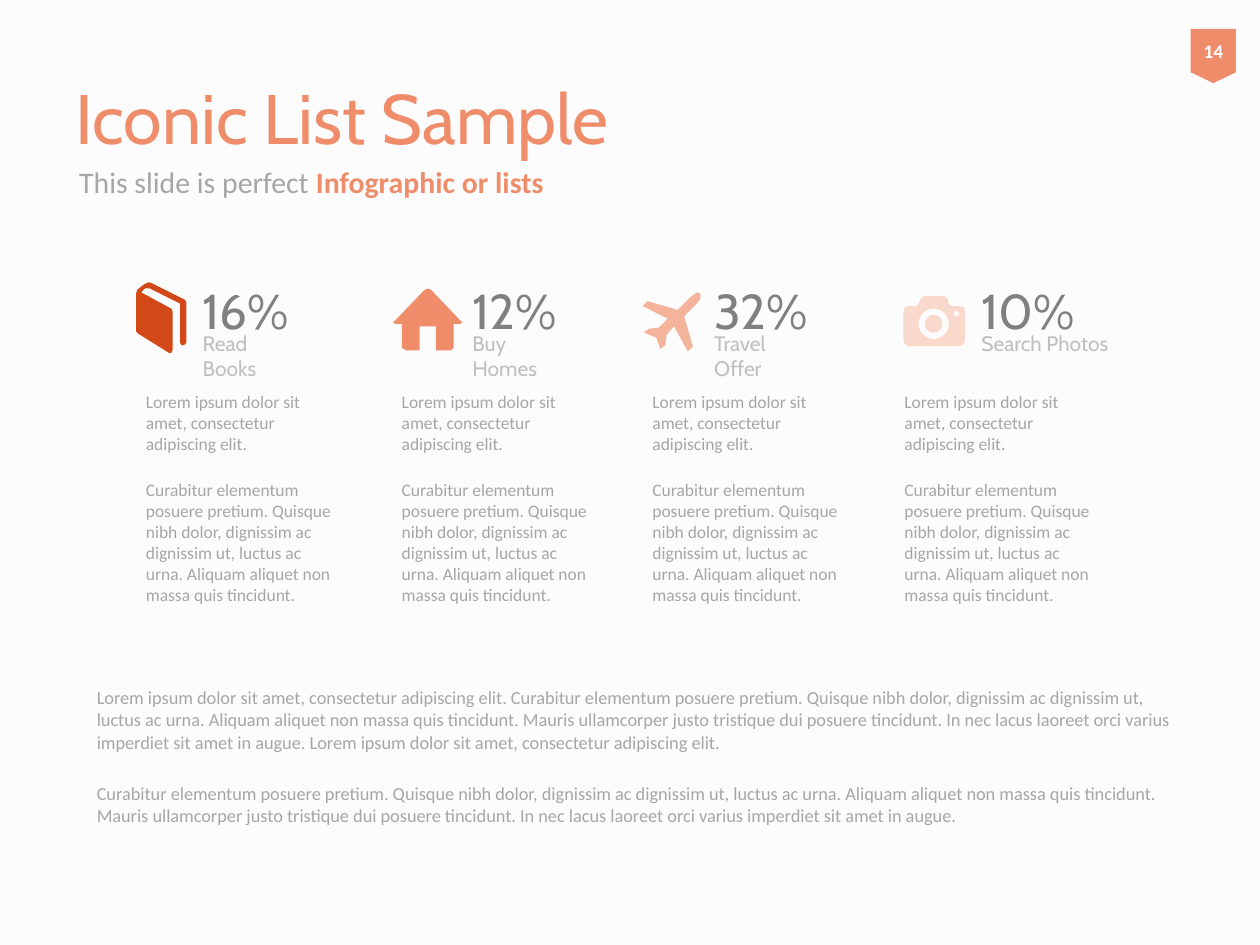
"""Build the "Iconic List Sample" slide: four icon columns above a closing text."""
import math

import pptx
import pptx.dml.color
import pptx.enum.shapes
import pptx.enum.text
import pptx.util

Inches = pptx.util.Inches
COLORS = {
    "background": "FCFCFC", "accent": "EF8C6A", "rust": "D34817", "salmon": "F4B39B",
    "blush": "FAD9CD", "figure": "808080", "body": "A6A6A6", "label": "BFBFBF", "white": "FFFFFF",
}
OPENING = "Lorem ipsum dolor sit amet, consectetur adipiscing elit."
DETAIL = ("Curabitur elementum posuere pretium. Quisque nibh dolor, dignissim ac dignissim ut, "
          "luctus ac urna. Aliquam aliquet non massa quis tincidunt.")
CLOSING = (DETAIL + " Mauris ullamcorper justo tristique dui posuere tincidunt. "
           "In nec lacus laoreet orci varius imperdiet sit amet in augue.")


def write(shape, text, *, size, color, font="Calibri", bold=False, bold_tail="", gap=0,
          align=pptx.enum.text.PP_ALIGN.LEFT, anchor=pptx.enum.text.MSO_ANCHOR.TOP):
    frame = shape.text_frame
    frame.word_wrap = True
    frame.auto_size = pptx.enum.text.MSO_AUTO_SIZE.NONE
    frame.vertical_anchor = anchor
    frame.text = text
    for index, paragraph in enumerate(frame.paragraphs):
        paragraph.alignment = align
        paragraph.space_before = pptx.util.Pt(gap if index else 0)
        paragraph.font.name = font
        paragraph.font.size = pptx.util.Pt(size)
        paragraph.font.bold = bold
        paragraph.font.color.rgb = pptx.dml.color.RGBColor.from_string(COLORS[color])
    if bold_tail:
        run = frame.paragraphs[-1].add_run()
        run.text = bold_tail
        run.font.bold = True
        run.font.color.rgb = pptx.dml.color.RGBColor.from_string(COLORS["accent"])


def circle(center_x, center_y, radius):
    angles = [math.tau * step / 36 for step in range(36)]
    return [(center_x + radius * math.cos(a), center_y + radius * math.sin(a)) for a in angles]


BOOK = [[
    (1.47, 2.38), (1.21, 2.25), (1.18, 2.24), (1.14, 2.26), (1.09, 2.3), (1.08, 2.33),
    (1.08, 2.63), (1.1, 2.65), (1.34, 2.8), (1.36, 2.8), (1.37, 2.78), (1.37, 2.47),
    (1.36, 2.45), (1.12, 2.32), (1.15, 2.29), (1.19, 2.29), (1.43, 2.41), (1.43, 2.72),
    (1.44, 2.74), (1.46, 2.74), (1.48, 2.72), (1.48, 2.4),
]]
HOUSE = [[
    (3.66, 2.55), (3.42, 2.3), (3.4, 2.29), (3.37, 2.3), (3.13, 2.55), (3.12, 2.56),
    (3.14, 2.57), (3.19, 2.57), (3.19, 2.76), (3.22, 2.78), (3.33, 2.78), (3.33, 2.59),
    (3.46, 2.59), (3.46, 2.78), (3.58, 2.78), (3.6, 2.76), (3.6, 2.57), (3.65, 2.57), (3.67, 2.56),
]]
PLANE = [[
    (5.46, 2.79), (5.5, 2.75), (5.43, 2.51), (5.53, 2.41), (5.56, 2.37), (5.56, 2.33),
    (5.53, 2.32), (5.48, 2.36), (5.38, 2.46), (5.14, 2.39), (5.1, 2.43), (5.3, 2.53),
    (5.23, 2.6), (5.15, 2.61), (5.11, 2.64), (5.21, 2.68), (5.24, 2.77), (5.28, 2.74),
    (5.29, 2.66), (5.35, 2.59),
]]
CAMERA = [
    [
        (7.61, 2.43), (7.55, 2.43), (7.53, 2.41), (7.52, 2.37), (7.5, 2.35), (7.33, 2.35),
        (7.31, 2.37), (7.29, 2.41), (7.27, 2.43), (7.21, 2.43), (7.18, 2.44), (7.17, 2.48),
        (7.17, 2.7), (7.18, 2.73), (7.21, 2.75), (7.61, 2.75), (7.65, 2.73), (7.66, 2.7),
        (7.66, 2.48), (7.65, 2.44),
    ],
    circle(7.41, 2.57, 0.12)[::-1],
    circle(7.41, 2.57, 0.07),
    circle(7.59, 2.49, 0.02)[::-1],
]
COLUMNS = [
    (1.06, 1.51, 1.01, "16%", "Read Books", "rust", BOOK),
    (3.09, 3.65, 1.01, "12%", "Buy Homes", "accent", HOUSE),
    (5.08, 5.57, 1.01, "32%", "Travel Offer", "salmon", PLANE),
    (7.08, 7.69, 1.22, "10%", "Search Photos", "blush", CAMERA),
]

presentation = pptx.Presentation()
presentation.slide_width, presentation.slide_height = Inches(10), Inches(7.5)
slide = presentation.slides.add_slide(presentation.slide_layouts[5])
slide.background.fill.solid()
slide.background.fill.fore_color.rgb = pptx.dml.color.RGBColor.from_string(COLORS["background"])
middle = pptx.enum.text.MSO_ANCHOR.MIDDLE

title = slide.shapes.title
title.left, title.top, title.width, title.height = map(Inches, (0.5, 0.3, 9, 1.25))
write(title, "Iconic List Sample", size=40, color="accent", font="Cabin", anchor=middle)

subtitle = slide.shapes.add_textbox(*map(Inches, (0.53, 1.18, 9, 0.53)))
write(subtitle, "This slide is perfect ", size=17, color="body",
      bold_tail="Infographic or lists", anchor=middle)

for body_left, heading_left, label_width, figure, label, color, contours in COLUMNS:
    points = [[(Inches(x), Inches(y)) for x, y in contour] for contour in contours]
    builder = slide.shapes.build_freeform(*points[0][0])
    builder.add_line_segments(points[0][1:], close=True)
    for contour in points[1:]:
        builder.move_to(*contour[0])
        builder.add_line_segments(contour[1:], close=True)
    icon = builder.convert_to_shape()
    icon.shadow.inherit = False
    icon.fill.solid()
    icon.fill.fore_color.rgb = pptx.dml.color.RGBColor.from_string(COLORS[color])
    icon.line.fill.background()

    figure_box = slide.shapes.add_textbox(*map(Inches, (heading_left, 2.18, 1.01, 0.5)))
    write(figure_box, figure, size=28, color="figure", font="Cabin")
    label_box = slide.shapes.add_textbox(*map(Inches, (heading_left, 2.57, label_width, 0.31)))
    write(label_box, label, size=12, color="label", font="Cabin")
    body_box = slide.shapes.add_textbox(*map(Inches, (body_left, 3.05, 1.7, 2.48)))
    write(body_box, f"{OPENING}\n{DETAIL}", size=10, color="body", gap=14.3)

closing_box = slide.shapes.add_textbox(*map(Inches, (0.67, 5.4, 8.74, 0.89)))
write(closing_box, f"{OPENING} {CLOSING} {OPENING}\n{CLOSING}", size=10.5, color="body", gap=16.8)

page_tag = slide.shapes.add_shape(
    pptx.enum.shapes.MSO_SHAPE.FLOWCHART_OFFPAGE_CONNECTOR,
    *map(Inches, (9.45, 0.23, 0.36, 0.43)))
page_tag.shadow.inherit = False
page_tag.fill.solid()
page_tag.fill.fore_color.rgb = pptx.dml.color.RGBColor.from_string(COLORS["accent"])
page_tag.line.fill.background()
page_tag.text_frame.margin_left = page_tag.text_frame.margin_right = 0
page_tag.text_frame.margin_top = page_tag.text_frame.margin_bottom = 0
write(page_tag, "14", size=11, color="white", bold=True,
      align=pptx.enum.text.PP_ALIGN.CENTER, anchor=middle)

presentation.save("out.pptx")
